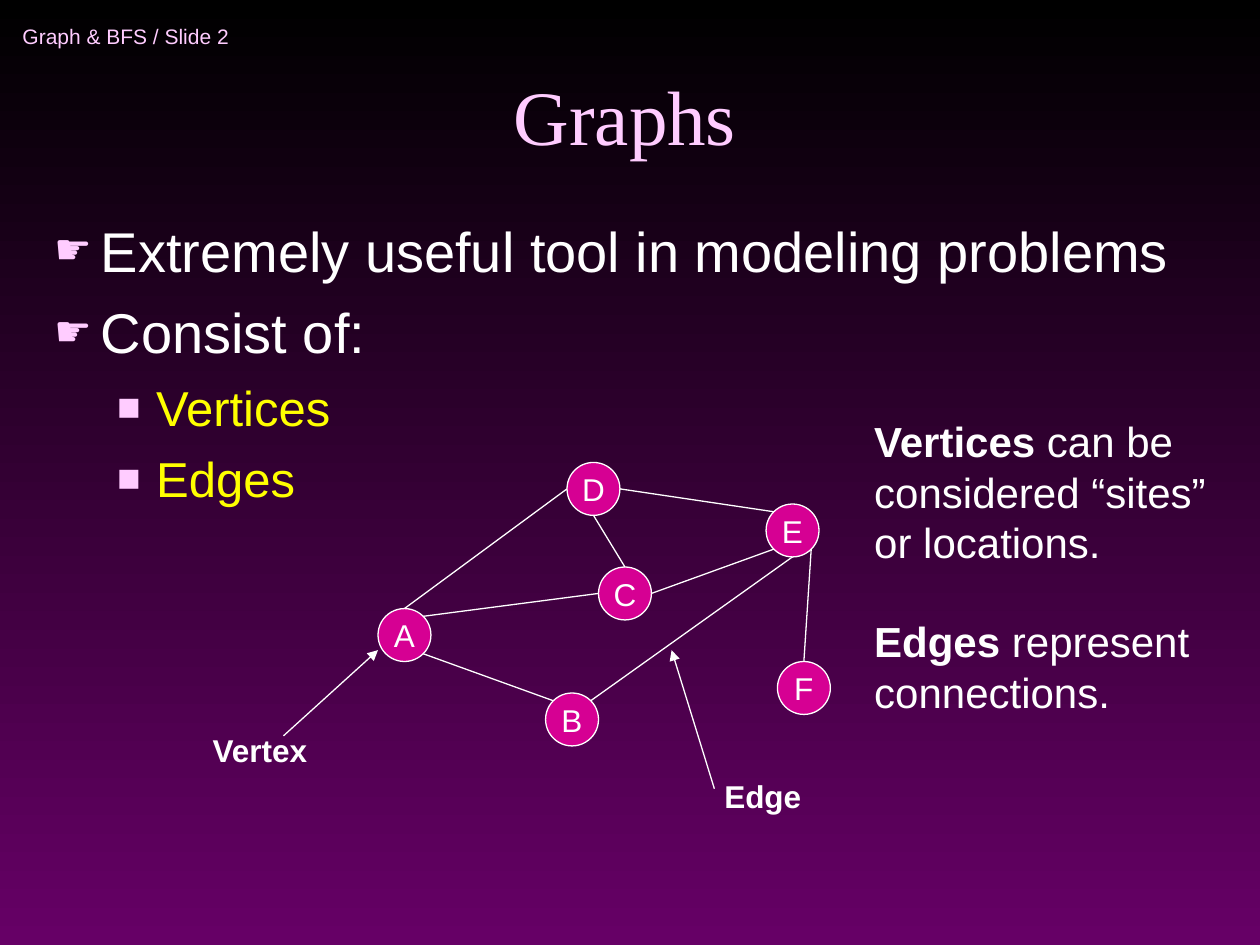
"""Build a slide that introduces graphs, their vertices and their edges."""
from math import cos, radians, sin

from lxml import etree
from pptx import Presentation
from pptx.dml.color import RGBColor
from pptx.enum.shapes import MSO_CONNECTOR, MSO_SHAPE
from pptx.enum.text import MSO_ANCHOR, MSO_AUTO_SIZE, PP_ALIGN
from pptx.oxml.ns import qn
from pptx.util import Inches, Pt

ELLIPSE = MSO_SHAPE.OVAL
STRAIGHT = MSO_CONNECTOR.STRAIGHT
LEFT, CENTER = PP_ALIGN.LEFT, PP_ALIGN.CENTER
TOP, MIDDLE, BOTTOM = MSO_ANCHOR.TOP, MSO_ANCHOR.MIDDLE, MSO_ANCHOR.BOTTOM
NO_FIT = MSO_AUTO_SIZE.NONE

BLACK = RGBColor(0x00, 0x00, 0x00)
PURPLE = RGBColor(0x66, 0x00, 0x66)
PINK = RGBColor(0xFF, 0xCC, 0xFF)
MAGENTA = RGBColor(0xD6, 0x00, 0x93)
YELLOW = RGBColor(0xFF, 0xFF, 0x00)
WHITE = RGBColor(0xFF, 0xFF, 0xFF)

DIAMETER = 0.42
SITE_ANGLES = {"right": 0, "bottom right": 45, "bottom": 90, "bottom left": 135,
               "left": 180, "top left": 225, "top": 270, "top right": 315}


def add_text(paragraph, text, color=WHITE, **font_format):
    run = paragraph.add_run()
    run.text = text
    run.font.color.rgb = color
    for name, value in {"name": "Arial", "size": Pt(18), "bold": False, **font_format}.items():
        setattr(run.font, name, value)


def add_line(start, end, arrow=False):
    line = slide.shapes.add_connector(STRAIGHT, *map(Inches, start + end))
    line.line.color.rgb = WHITE
    line.line.width = Pt(0.75)
    if arrow:
        etree.SubElement(line.line._get_or_add_ln(), qn("a:tailEnd"), type="triangle")
    etree.SubElement(line._element.spPr, qn("a:effectLst"))


presentation = Presentation()
presentation.slide_width = Inches(10)
presentation.slide_height = Inches(7.5)
slide = presentation.slides.add_slide(presentation.slide_layouts[1])

background = slide.background.fill
background.gradient()
background.gradient_angle = 270
for stop, color in zip(background.gradient_stops, (BLACK, PURPLE)):
    stop.color.rgb = color

title, body = slide.placeholders
for shape, box, anchor in ((title, (0.67, 0.25, 8.58, 1.08), BOTTOM),
                           (body, (0.33, 1.67, 9.42, 5.13), TOP)):
    for name, value in zip(("left", "top", "width", "height"), box):
        setattr(shape, name, Inches(value))
    shape.text_frame.vertical_anchor = anchor
    shape.text_frame.auto_size = NO_FIT

title_paragraph = title.text_frame.paragraphs[0]
title_paragraph.alignment = CENTER
add_text(title_paragraph, "Graphs", PINK, name="Times New Roman", size=Pt(44))

LEVELS = [
    {"size": 32, "color": WHITE, "before": 8, "margin": 0.37, "indent": -0.37,
     "bullet": "☛", "percent": 75},
    {"size": 28, "color": YELLOW, "before": 7, "margin": 0.81, "indent": -0.31,
     "bullet": "■", "percent": 80},
]
points = [("Extremely useful tool in modeling problems", 0), ("Consist of:", 0),
          ("Vertices", 1), ("Edges", 1)]
for index, (text, level) in enumerate(points):
    style = LEVELS[level]
    paragraph = body.text_frame.add_paragraph() if index else body.text_frame.paragraphs[0]
    paragraph.level = level
    paragraph.space_before = Pt(style["before"])
    add_text(paragraph, text, style["color"], size=Pt(style["size"]))
    properties = paragraph._p.get_or_add_pPr()
    properties.set("marL", str(Inches(style["margin"])))
    properties.set("indent", str(Inches(style["indent"])))
    bullet_color = etree.SubElement(properties, qn("a:buClr"))
    etree.SubElement(bullet_color, qn("a:srgbClr"), val=str(PINK))
    etree.SubElement(properties, qn("a:buSzPct"), val=str(style["percent"] * 1000))
    etree.SubElement(properties, qn("a:buFont"), typeface="Arial")
    etree.SubElement(properties, qn("a:buChar"), char=style["bullet"])

vertices = {"D": (4.5, 3.67), "E": (6.08, 4), "A": (3, 4.83),
            "C": (4.75, 4.5), "F": (6.17, 5.25), "B": (4.33, 5.5)}
sites = {}
for letter, (left, top) in vertices.items():
    vertex = slide.shapes.add_shape(ELLIPSE, *map(Inches, (left, top, DIAMETER, DIAMETER)))
    vertex.shadow.inherit = False
    vertex.fill.solid()
    vertex.fill.fore_color.rgb = MAGENTA
    vertex.line.color.rgb = WHITE
    vertex.line.width = Pt(0.75)
    vertex.text_frame.word_wrap = False
    vertex.text_frame.vertical_anchor = MIDDLE
    vertex.text_frame.paragraphs[0].alignment = CENTER
    add_text(vertex.text_frame.paragraphs[0], letter)
    radius = DIAMETER / 2
    for side, angle in SITE_ANGLES.items():
        sites[letter, side] = (left + radius + radius * cos(radians(angle)),
                               top + radius + radius * sin(radians(angle)))

edges = [
    (("A", "bottom right"), ("B", "top left")),
    (("A", "top right"), ("C", "left")),
    (("D", "left"), ("A", "top")),
    (("D", "bottom"), ("C", "top")),
    (("D", "right"), ("E", "top left")),
    (("C", "right"), ("E", "bottom left")),
    (("F", "top"), ("E", "bottom right")),
    (("E", "bottom"), ("B", "top right")),
]
for start, end in edges:
    add_line(sites[start], sites[end])

add_line((2.25, 5.84), (3, 5.16), arrow=True)
add_line((5.67, 6.26), (5.33, 5.16), arrow=True)

BOLD_18 = {"bold": True}
BOLD_24 = {"bold": True, "size": Pt(24)}
PLAIN_24 = {"size": Pt(24)}
text_boxes = [
    ((0.08, 0.08, 2.75, 0.42), MIDDLE,
     [[[("Graph & BFS / Slide 2", {"color": PINK, "size": Pt(12)})]]]),
    ((1.59, 5.75, 0.96, 0.4), TOP, [[[("Vertex", BOLD_18)]]]),
    ((5.65, 6.12, 0.81, 0.4), TOP, [[[("Edge", BOLD_18)]]]),
    ((6.84, 3.25, 2.83, 2.5), TOP, [
        [[("Vertices", BOLD_24), (" can be", PLAIN_24)],
         [("considered “sites”", PLAIN_24)],
         [("or locations.", PLAIN_24)]],
        [[("Edges", BOLD_24), (" represent", PLAIN_24)],
         [("connections.", PLAIN_24)]],
    ]),
]
for box, anchor, paragraphs in text_boxes:
    text_frame = slide.shapes.add_textbox(*map(Inches, box)).text_frame
    text_frame.word_wrap = False
    text_frame.vertical_anchor = anchor
    for index, lines in enumerate(paragraphs):
        paragraph = text_frame.add_paragraph() if index else text_frame.paragraphs[0]
        paragraph.alignment = LEFT
        paragraph.space_before = Pt(28 * index)
        for line_index, runs in enumerate(lines):
            if line_index:
                paragraph.add_line_break()
            for text, font_format in runs:
                add_text(paragraph, text, **font_format)

presentation.save("out.pptx")
